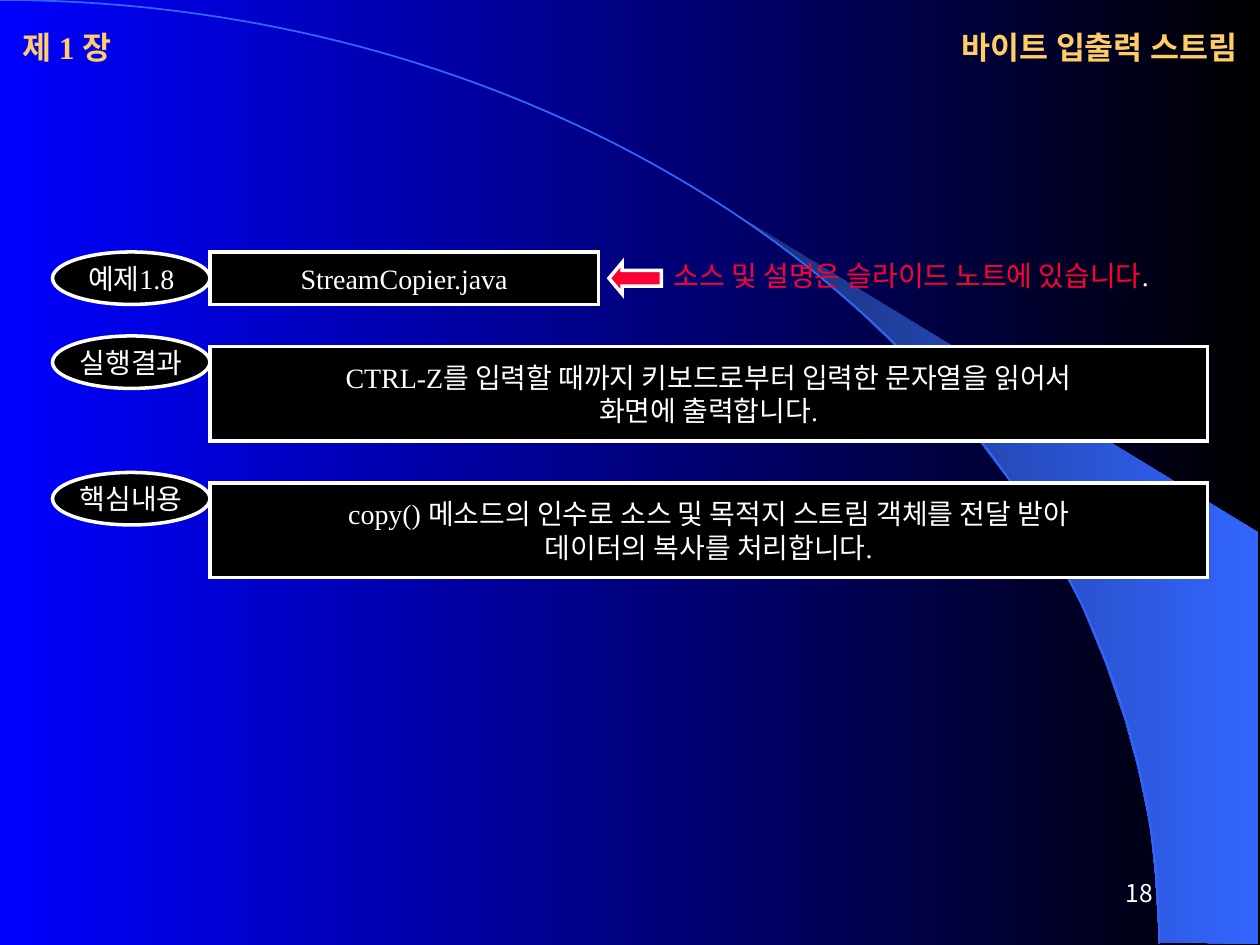
import math
from pptx import Presentation, util as u
from pptx.dml.color import RGBColor
from pptx.enum import shapes, text
from pptx.oxml.ns import qn
from lxml import etree

# Content: label, text lines, label and box tops (grid rows), box height and width
EXAMPLES = [
    ("예제1.8", ["StreamCopier.java"], 24, 24, 5, 37),
    ("실행결과", ["CTRL-Z를 입력할 때까지 키보드로부터 입력한 문자열을 읽어서",
              "화면에 출력합니다."], 32, 33, 9, 95),
    ("핵심내용", ["copy() 메소드의 인수로 소스 및 목적지 스트림 객체를 전달 받아",
              "데이터의 복사를 처리합니다."], 45, 46, 9, 95),
]
CHAPTER, TITLE, PAGE = "제 1 장", "바이트 입출력 스트림", "18"
NOTE = [("소스 및 설명은 슬라이드 노트에 있습니다", "red"), (".", "white")]

THEME = dict(
    white="FFFFFF", black="000000", red="FF0033", gold="FFCC66",
    blue="0000FF", arc="3366FF", shade="182F76",
    heading=18, body=16, page=14, line=2,
    latin="Times New Roman", asian="Noto Sans CJK KR",
)

# Twelve grid units to the inch: 120 columns by 90 rows
UNIT = u.Inches(1) // 12
COLS, ROWS = 120, 90
LABEL_X, LABEL_W, LABEL_H = 5, 15, 5
BOX_X = LABEL_X + LABEL_W

# Curved band in inches: the arc is a quarter ellipse
ARC_W, ARC_H, ARC_STEPS = 9.2, 7.49, 90
BAND = [(9.2, 7.48), (9.99, 7.49), (9.99, 4.23), (5.89, 1.73), (6.24, 1.99),
        (6.53, 2.22), (6.85, 2.5), (7.16, 2.8), (7.62, 3.3), (8.03, 3.84),
        (8.32, 4.31), (8.58, 4.79), (8.78, 5.28), (8.93, 5.72), (9.03, 6.09),
        (9.13, 6.56), (9.17, 6.96)]

ALIGN, ANCHOR, SHAPE = text.PP_ALIGN, text.MSO_ANCHOR, shapes.MSO_SHAPE


def rgb(name):
    return RGBColor.from_string(THEME[name])


def grid(*cells):
    return [round(c * UNIT) for c in cells]


def gradient(fill, *names):
    fill.gradient()
    fill.gradient_angle = 0
    for stop, name in zip(fill.gradient_stops, names):
        stop.color.rgb = rgb(name)


def outline(s, points, close):
    pts = [(u.Inches(x), u.Inches(y)) for x, y in points]
    builder = s.shapes.build_freeform(*pts[0], scale=1.0)
    builder.add_line_segments(pts[1:], close=close)
    sp = builder.convert_to_shape()
    sp.shadow.inherit = False
    return sp


def write(sp, lines, size, align, anchor=ANCHOR.MIDDLE, wrap=False,
          bold=False, latin="latin"):
    """Each line is a list of (text, colour) runs."""
    tf = sp.text_frame
    tf.word_wrap, tf.vertical_anchor = wrap, anchor
    for i, runs in enumerate(lines):
        p = tf.add_paragraph() if i else tf.paragraphs[0]
        p.alignment = align
        for words, color in runs:
            r = p.add_run()
            r.text = words
            r.font.size, r.font.bold = u.Pt(THEME[size]), bold
            r.font.color.rgb = rgb(color)
            r.font.name = THEME[latin]
            ea = etree.SubElement(r.font._element, qn("a:ea"))
            ea.set("typeface", THEME["asian"])


def textbox(s, cells, runs, size, align, **style):
    write(s.shapes.add_textbox(*grid(*cells)), [runs], size, align, **style)


def block(s, kind, cells, fill="black"):
    sp = s.shapes.add_shape(kind, *grid(*cells))
    sp.shadow.inherit = False
    sp.fill.solid()
    sp.fill.fore_color.rgb = rgb(fill)
    sp.line.color.rgb = rgb("white")
    sp.line.width = u.Pt(THEME["line"])
    # Sharp corners
    ln = sp._element.spPr.find(qn("a:ln"))
    etree.SubElement(ln, qn("a:miter")).set("lim", "800000")
    return sp


def main():
    prs = Presentation()
    prs.slide_width, prs.slide_height = grid(COLS, ROWS)
    s = prs.slides.add_slide(prs.slide_layouts[6])

    # Background, band and arc
    gradient(s.background.fill, "blue", "black")
    band = outline(s, BAND, True)
    gradient(band.fill, "shade", "arc")
    band.line.fill.background()
    angles = [math.pi / 2 * i / ARC_STEPS for i in range(ARC_STEPS + 1)]
    arc = outline(s, [(ARC_W * math.sin(a), ARC_H * (1 - math.cos(a)))
                      for a in angles], False)
    arc.fill.background()
    arc.line.color.rgb = rgb("arc")
    arc.line.width = u.Pt(1)

    # Page number and headings
    textbox(s, (86, 82, 25, 6), [(PAGE, "white")], "page", ALIGN.RIGHT,
            wrap=True, latin="asian")
    textbox(s, (1, 2, 17, 5), [(CHAPTER, "gold")], "heading", ALIGN.LEFT, bold=True)
    textbox(s, (83, 2, 36, 5), [(TITLE, "gold")], "heading", ALIGN.RIGHT, bold=True)

    # Labelled boxes
    for label, lines, label_y, box_y, box_h, box_w in EXAMPLES:
        oval = block(s, SHAPE.OVAL, (LABEL_X, label_y, LABEL_W, LABEL_H))
        write(oval, [[(label, "white")]], "body", ALIGN.CENTER)
        box = block(s, SHAPE.RECTANGLE, (BOX_X, box_y, box_w, box_h))
        write(box, [[(line, "white")] for line in lines], "body", ALIGN.CENTER)

    # Note with its arrow
    textbox(s, (63, 24, 53, 4.4), NOTE, "body", ALIGN.LEFT,
            anchor=ANCHOR.TOP, wrap=True)
    arrow = block(s, SHAPE.LEFT_ARROW, (58, 25, 5, 3), "red")
    arrow.adjustments[1] = 0.42

    prs.save("out.pptx")


if __name__ == "__main__":
    main()
